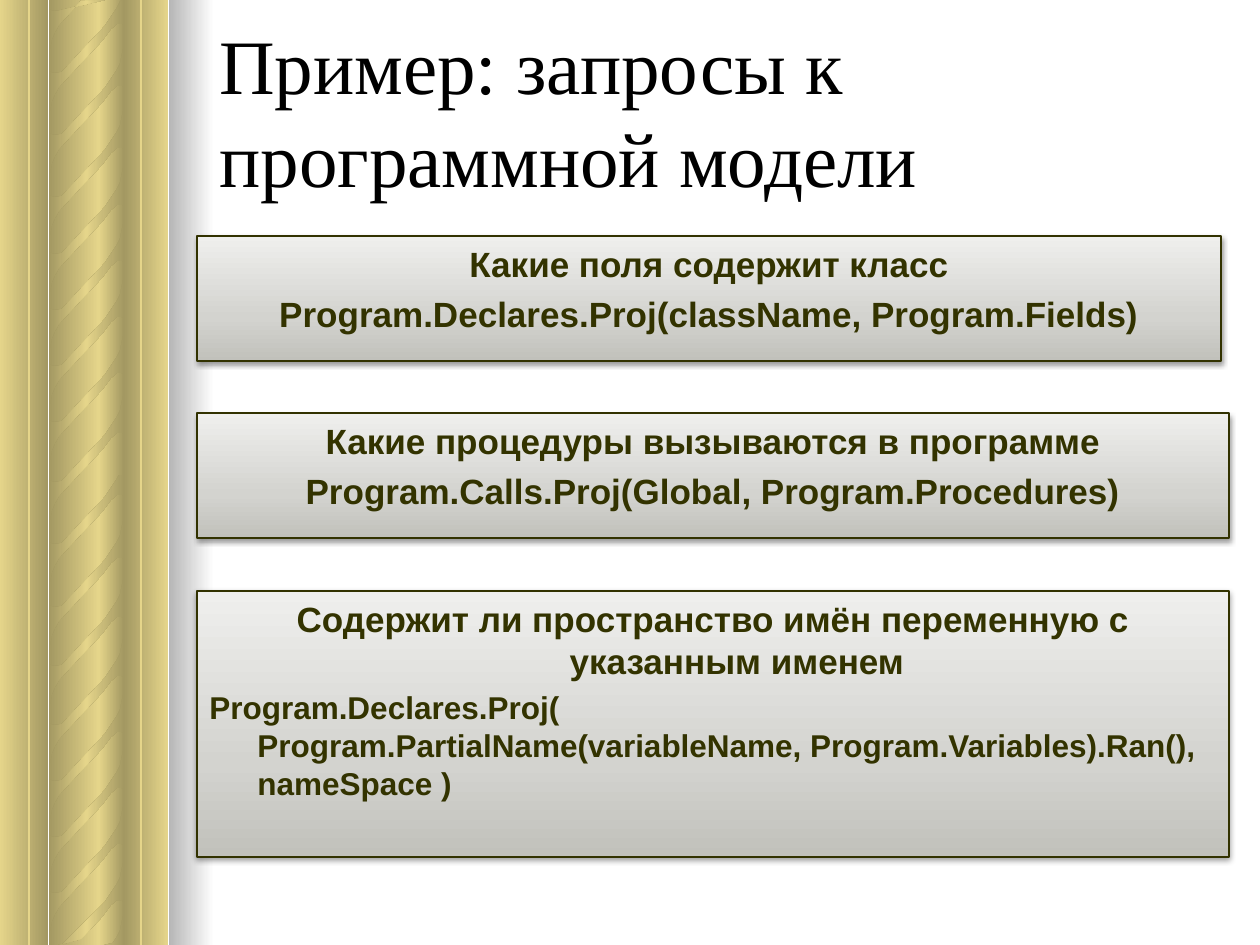
from lxml import etree
from pptx import Presentation
from pptx import util as u
from pptx.dml.color import RGBColor
from pptx.enum import shapes, text
from pptx.oxml.ns import qn

GOLD = "E5D58A"
SHADE = 46275
DARK, LIGHT = (GOLD, SHADE), (GOLD, None)
STRAND = [
    (124, 11), (124, 42), (122, 40), (117, 40), (115, 42), (111, 45), (102, 57),
    (81, 79), (59, 103), (55, 110), (52, 117), (50, 127), (49, 141), (49, 79),
    (49, 86), (50, 88), (53, 89), (55, 89), (58, 89), (62, 88), (105, 42),
    (113, 30), (117, 24), (120, 18), (122, 8), (124, 0), (124, 25),
]


def px(n):
    return u.Emu(round(n * 914400 / 126))


def rgb(color):
    return RGBColor.from_string(color)


def sub(parent, tag, **attrs):
    return etree.SubElement(parent, qn(tag), {k: str(v) for k, v in attrs.items()})


class Slide:
    heading = "Times New Roman"
    body = "Arial"
    ink = "333300"

    def __init__(self, prs):
        self.s = prs.slides.add_slide(prs.slide_layouts[6])

    def gradient(self, sp, stops, angle=0):
        sp.fill.gradient()
        grad = sp._element.spPr.find(qn("a:gradFill"))
        for child in list(grad):
            grad.remove(child)
        gs_list = sub(grad, "a:gsLst")
        for pos, (color, shade) in stops:
            clr = sub(sub(gs_list, "a:gs", pos=pos * 1000), "a:srgbClr", val=color)
            if shade:
                sub(clr, "a:shade", val=shade)
        sub(grad, "a:lin", ang=angle * 60000, scaled=0)
        sp.shadow.inherit = False
        sp.line.fill.background()

    def rect(self, x, y, w, h, stops, angle=0):
        sp = self.s.shapes.add_shape(shapes.MSO_SHAPE.RECTANGLE, px(x), px(y), px(w), px(h))
        self.gradient(sp, stops, angle)
        return sp

    def strand(self, top, low=0, high=945):
        pts = [(x, min(max(top + y, low), high)) for x, y in STRAND]
        fb = self.s.shapes.build_freeform(*pts[0], scale=914400 / 126)
        fb.add_line_segments(pts[1:], close=True)
        self.gradient(fb.convert_to_shape(), [(0, DARK), (50, LIGHT), (100, DARK)])

    def vline(self, x):
        c = self.s.shapes.add_connector(shapes.MSO_CONNECTOR.STRAIGHT, px(x), 0, px(x), px(945))
        c.line.color.rgb = rgb(GOLD)
        c.line.width = u.Pt(1)
        sub(c._element.spPr, "a:effectLst")

    def title(self, x, y, w, h, words):
        tf = self.s.shapes.add_textbox(px(x), px(y), px(w), px(h)).text_frame
        tf.word_wrap = True
        tf.vertical_anchor = text.MSO_ANCHOR.MIDDLE
        p = tf.paragraphs[0]
        p.text = words
        p.font.name, p.font.size = self.heading, u.Pt(44)
        p.font.color.rgb = rgb("000000")

    def query(self, x, y, w, h, paragraphs):
        sp = self.rect(x, y, w, h, [(0, ("C1C1BB", None)), (35, ("D3D3CF", None)),
                                    (100, ("EFEFED", None))], 270)
        sp.line.color.rgb = rgb("323200")
        sp.line.width = u.Pt(0.75)
        effects = sp._element.spPr.find(qn("a:effectLst"))
        shadow = sub(effects, "a:outerShdw", blurRad=40000, dist=20000, dir=5400000, rotWithShape=0)
        sub(sub(shadow, "a:srgbClr", val="000000"), "a:alpha", val=38000)
        tf = sp.text_frame
        tf.word_wrap = True
        tf.vertical_anchor = text.MSO_ANCHOR.TOP
        for i, (words, size, align) in enumerate(paragraphs):
            p = tf.add_paragraph() if i else tf.paragraphs[0]
            p.text = words
            p.alignment = align
            p.space_before = u.Pt(size * 0.23)
            p.font.name, p.font.size, p.font.bold = self.body, u.Pt(size), True
            p.font.color.rgb = rgb(self.ink)
            pPr = p._p.get_or_add_pPr()
            pPr.set("marL", str(px(48)))
            pPr.set("indent", str(-px(48)))


def main():
    prs = Presentation()
    prs.slide_width, prs.slide_height = u.Inches(10), u.Inches(7.5)
    slide = Slide(prs)

    fade_out, fade_in = [(0, LIGHT), (100, DARK)], [(0, DARK), (100, LIGHT)]
    columns = [(99, 25, fade_out), (0, 48, fade_out), (49, 50, fade_in), (124, 44, fade_in)]
    lower = [577, 636, 692, 748, 804, 860, 518, 455]
    upper = [108, 165, 221, 277, 333, 913, 46, -16, -78, 393]
    for y, tops in ((470, lower), (0, upper)):
        for x, w, stops in columns:
            slide.rect(x, y, w, 475, stops)
        for top in tops:
            slide.strand(top, y)
    slide.rect(169, 0, 45, 945, [(0, ("FFFFFF", SHADE)), (100, ("FFFFFF", None))])
    for x in (29, 141):
        slide.vline(x)

    slide.title(207, 31, 1032, 158, "Пример: запросы к программной модели")
    center, left = text.PP_ALIGN.CENTER, text.PP_ALIGN.LEFT
    slide.query(197, 236, 1024, 125, [
        ("Какие поля содержит класс", 20, center),
        ("Program.Declares.Proj(className, Program.Fields)", 20, center)])
    slide.query(197, 413, 1032, 125, [
        ("Какие процедуры вызываются в программе", 20, center),
        ("Program.Calls.Proj(Global, Program.Procedures)", 20, center)])
    slide.query(197, 591, 1032, 266, [
        ("Содержит ли пространство имён переменную с указанным именем", 20, center),
        ("Program.Declares.Proj(\vProgram.PartialName(variableName, Program.Variables).Ran(), "
         "nameSpace )", 18, left)])
    prs.save("out.pptx")


if __name__ == "__main__":
    main()
